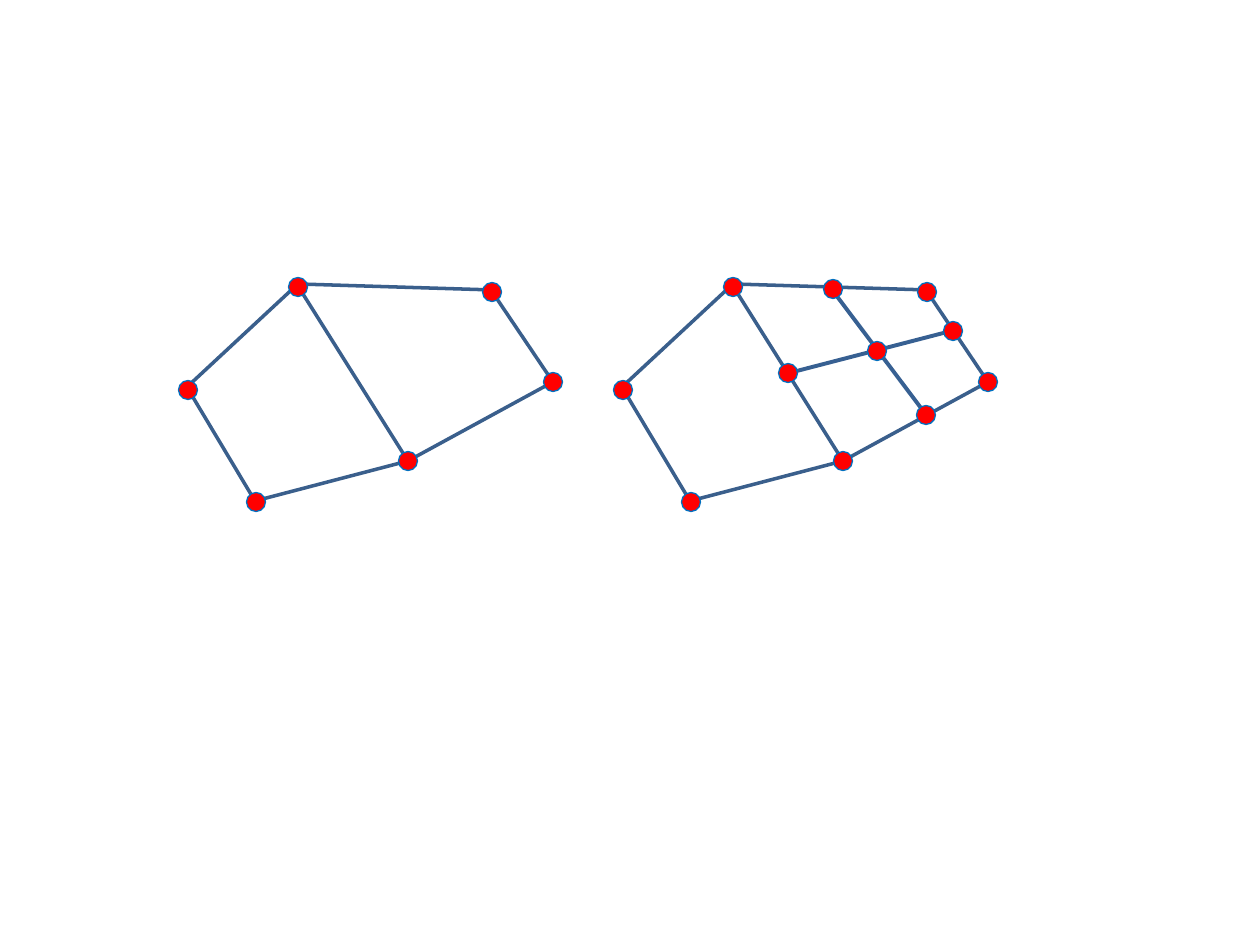
"""Build a slide showing a two-cell mesh and the same mesh with one cell subdivided."""
from dataclasses import dataclass

from lxml import etree
from pptx import Presentation
from pptx import util as u
from pptx.dml.color import RGBColor
from pptx.enum import shapes
from pptx.oxml.ns import qn

PX = u.Inches(1) / 126
NODE_SIZE = 19
MESH_SHIFT = 435

OUTLINES = [
    [(185, 389), (298, 284), (491, 290), (553, 382), (408, 461), (298, 286)],
    [(188, 389), (255, 501), (408, 461)],
]
CORNERS = [(298, 287), (492, 292), (553, 382), (188, 390), (408, 461), (256, 502)]
DIVIDERS = [((789, 373), (955, 330)), ((830, 287), (927, 416))]
MIDPOINTS = [(833, 289), (877, 351), (926, 415), (953, 331), (788, 373)]


@dataclass(frozen=True)
class Theme:
    edge: RGBColor = RGBColor(0x3A, 0x5F, 0x8C)
    divider: RGBColor = RGBColor(0x37, 0x60, 0x92)
    node: RGBColor = RGBColor(0xFF, 0x00, 0x00)
    node_line: RGBColor = RGBColor(0x00, 0x70, 0xC0)
    edge_width: float = 2
    divider_width: float = 2.25
    node_width: float = 0.75


THEME = Theme()


def px(length):
    return u.Emu(round(length * PX))


def shift(points, offset):
    return [(x + offset, y) for x, y in points]


def style_line(shape, color, width):
    shape.line.color.rgb = color
    shape.line.width = u.Pt(width)


def add_edges(group, points):
    builder = group.shapes.build_freeform(*points[0], scale=PX)
    builder.add_line_segments(points[1:], close=False)
    edges = builder.convert_to_shape()
    edges.fill.background()
    edges.shadow.inherit = False
    style_line(edges, THEME.edge, THEME.edge_width)


def add_divider(group, start, end):
    divider = group.shapes.add_connector(
        shapes.MSO_CONNECTOR.STRAIGHT, *map(px, start + end))
    style_line(divider, THEME.divider, THEME.divider_width)
    etree.SubElement(divider._element.spPr, qn("a:effectLst"))


def add_node(group, center):
    left, top = (px(value - NODE_SIZE / 2) for value in center)
    node = group.shapes.add_shape(
        shapes.MSO_SHAPE.OVAL, left, top, px(NODE_SIZE), px(NODE_SIZE))
    node.fill.solid()
    node.fill.fore_color.rgb = THEME.node
    node.shadow.inherit = False
    style_line(node, THEME.node_line, THEME.node_width)


def add_mesh(page, offset=0, dividers=(), midpoints=()):
    group = page.shapes.add_group_shape()
    for start, end in dividers:
        add_divider(group, start, end)
    for outline in OUTLINES:
        add_edges(group, shift(outline, offset))
    for center in shift(CORNERS, offset) + list(midpoints):
        add_node(group, center)


def main():
    deck = Presentation()
    deck.slide_width, deck.slide_height = px(1260), px(945)
    page = deck.slides.add_slide(deck.slide_layouts[6])
    add_mesh(page)
    add_mesh(page, MESH_SHIFT, DIVIDERS, MIDPOINTS)
    deck.save("out.pptx")


if __name__ == "__main__":
    main()
